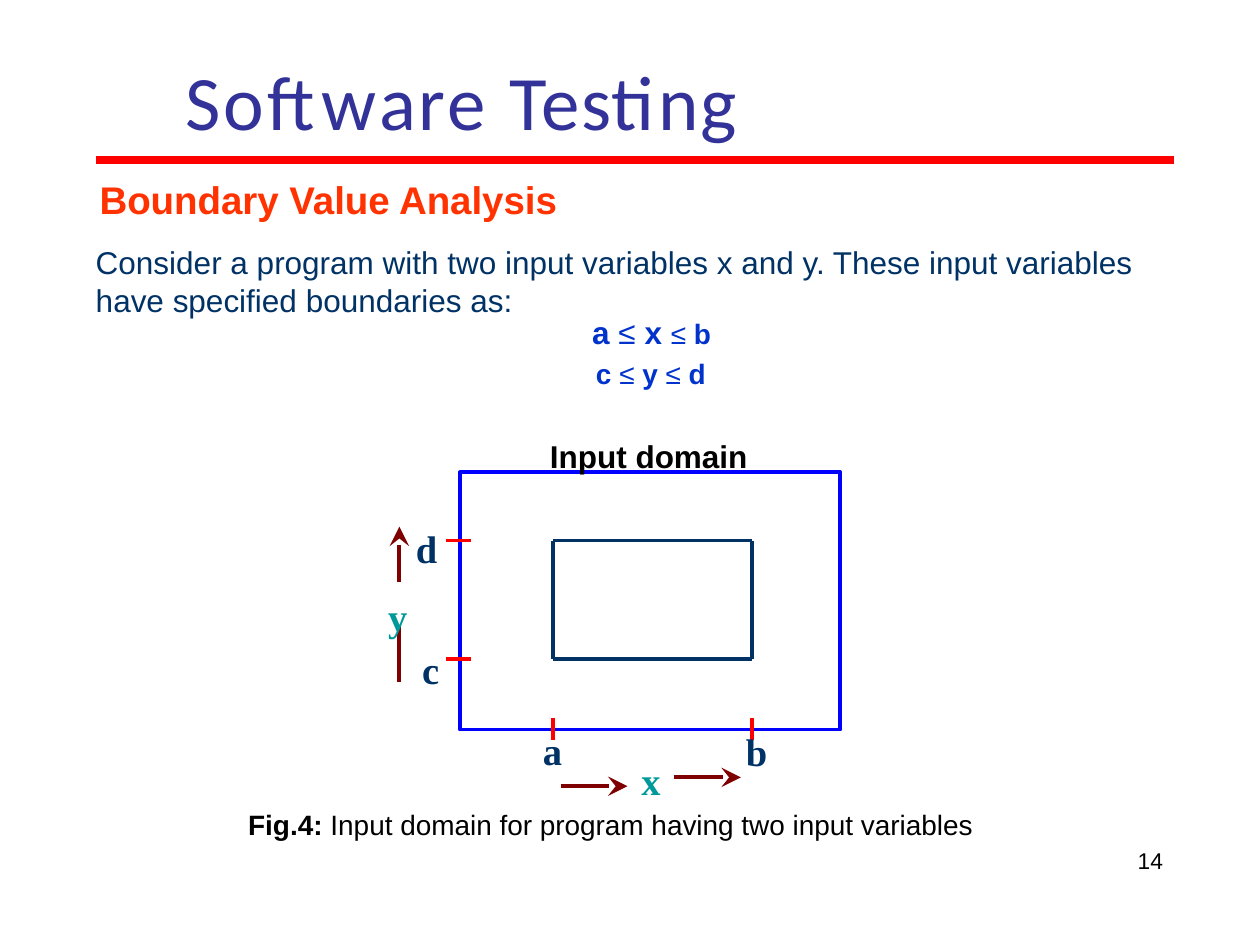
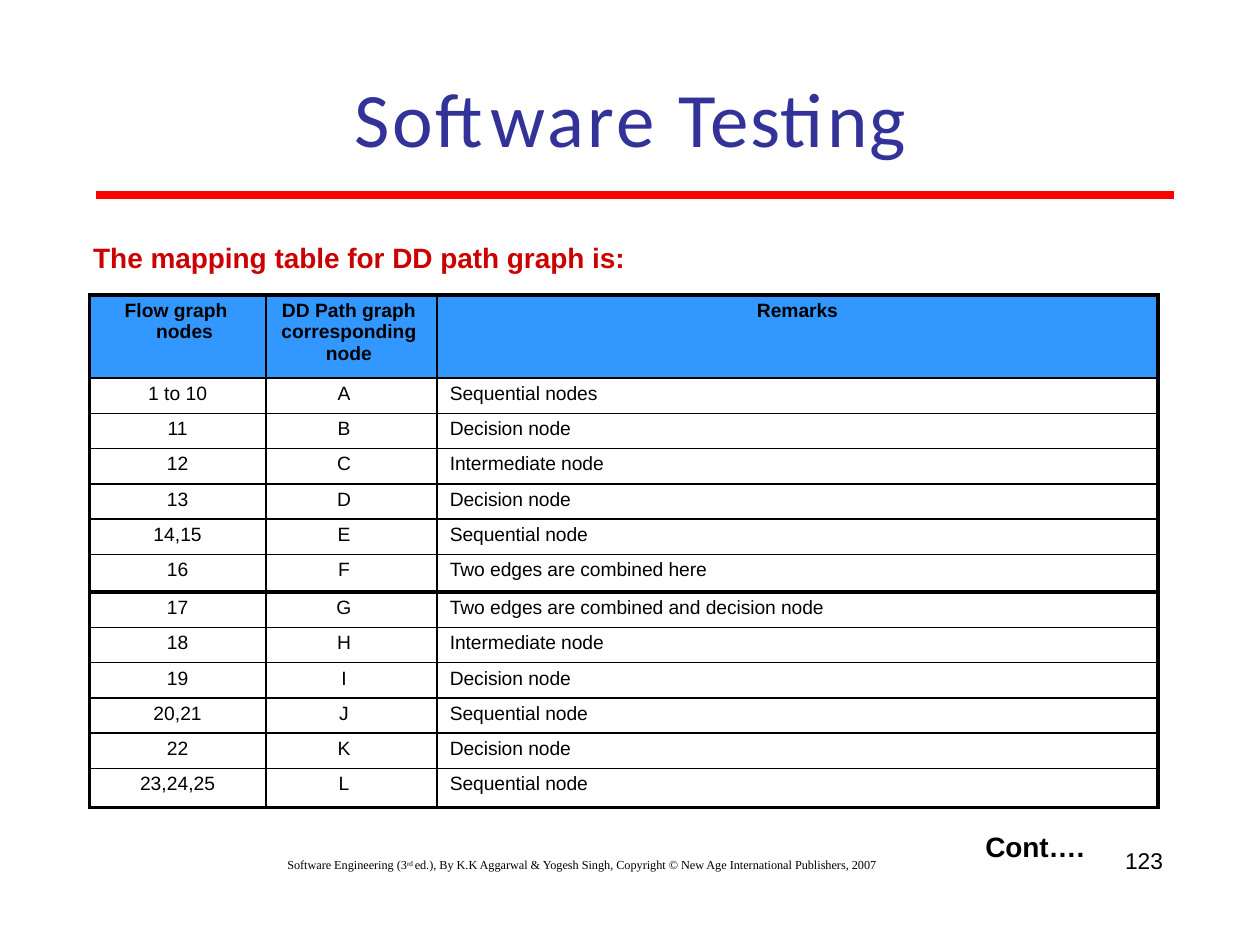
from lxml.etree import SubElement
from pptx import Presentation
from pptx.dml.color import RGBColor
from pptx.enum.shapes import MSO_CONNECTOR as Link, MSO_SHAPE as Shape
from pptx.enum.text import MSO_ANCHOR as Anchor, MSO_AUTO_SIZE as Fit, PP_ALIGN as Align
from pptx.oxml.ns import qn
from pptx.util import Emu, Pt

SCALE = 9144  # EMU per px, 100 px to the inch
BLACK, RED, NAVY, TEAL = "000000", "FF0000", "003265", "009999"
BLUE, INDIGO, MAROON, SKY = "0032CC", "323299", "7F0000", "3298FF"
SANS, SERIF = "Arial", "Times New Roman"
FRAME = dict(margin_left=0, margin_top=0, margin_right=0, margin_bottom=0,
             word_wrap=True, auto_size=Fit.NONE)
HEADS = ["Flow graph nodes", "DD Path graph corresponding node", "Remarks"]
NODES = [
    ("1 to 10", "A", "Sequential nodes"),
    ("11", "B", "Decision node"),
    ("12", "C", "Intermediate node"),
    ("13", "D", "Decision node"),
    ("14,15", "E", "Sequential node"),
    ("16", "F", "Two edges are combined here"),
    ("17", "G", "Two edges are combined and decision node"),
    ("18", "H", "Intermediate node"),
    ("19", "I", "Decision node"),
    ("20,21", "J", "Sequential node"),
    ("22", "K", "Decision node"),
    ("23,24,25", "L", "Sequential node"),
]


def px(*nums):
    return [Emu(n * SCALE) for n in nums]


def rgb(code):
    return RGBColor.from_string(code)


def apply(item, values):
    for key, val in values.items():
        setattr(item, key, val)


def add_run(para, text, size, color=BLACK, name=SANS, bold=False, **extra):
    """Add a run; extra holds raw attributes such as spc or baseline."""
    run = para.add_run()
    run.text = text
    apply(run.font, dict(size=Pt(size), name=name, bold=bold))
    run.font.color.rgb = rgb(color)
    for key, val in extra.items():
        run.font._element.set(key, str(val))


def add_para(frame, runs, left=0, hang=0, **form):
    """Fill the first empty paragraph or add one, without a bullet."""
    para = frame.add_paragraph() if frame.text else frame.paragraphs[0]
    apply(para, dict(dict(space_before=Pt(0), alignment=Align.LEFT), **form))
    props = para._p.get_or_add_pPr()
    props.set("marL", str(left * SCALE))
    props.set("indent", str(hang * SCALE))
    SubElement(props, qn("a:buNone"))
    for text, style in runs:
        add_run(para, text, **style)


def place(shape, box):
    apply(shape, dict(zip(("left", "top", "width", "height"), px(*box))))


def add_text(slide, box, *runs, **form):
    frame = slide.shapes.add_textbox(*px(*box)).text_frame
    apply(frame, FRAME)
    add_para(frame, runs, **form)


def add_line(slide, ends, color, width=2.25, head=False):
    line = slide.shapes.add_connector(Link.STRAIGHT, *px(*ends))
    line.line.color.rgb = rgb(color)
    line.line.width = Pt(width)
    if head:
        SubElement(line.line._get_or_add_ln(), qn("a:tailEnd"),
                   type="stealth", w="lg", len="lg")
    SubElement(line._element.spPr, qn("a:effectLst"))


def add_rect(slide, box, color):
    rect = slide.shapes.add_shape(Shape.RECTANGLE, *px(*box))
    rect.shadow.inherit = False
    rect.fill.background()
    rect.line.color.rgb = rgb(color)
    rect.line.width = Pt(2.25)


def add_frame(slide, box, rule, number):
    """Set what the slides share: title, red rule and slide number."""
    title = slide.shapes.title
    place(title, box)
    frame = title.text_frame
    apply(frame, dict(FRAME, vertical_anchor=Anchor.MIDDLE))
    look = dict(size=44, color=INDIGO, name="Calibri")
    add_para(frame, [("Software ", dict(look, spc=165)),
                     ("Testing", dict(look, spc=85))], alignment=Align.CENTER)
    add_line(slide, (76, rule, 932, rule), RED, 4.5)
    add_text(slide, (873, 672, 50, 22), (str(number), dict(size=13)),
             alignment=Align.RIGHT)


def add_bounds(frame, parts, left, **form):
    """Add an inequality; parts pairs each symbol with its size."""
    runs = [(text, dict(size=size, color=BLUE, bold="≤" not in text))
            for text, size in parts]
    add_para(frame, runs, left, **form)


def fill_body(slide):
    body = slide.placeholders[1]
    place(body, (75, 140, 846, 180))
    frame = body.text_frame
    apply(frame, dict(FRAME, vertical_anchor=Anchor.TOP))
    add_para(frame, [("Boundary Value Analysis",
                      dict(size=22, color="FF3200", bold=True))], 4)
    add_para(frame, [("Consider a program with two input variables x and y. "
                      "These input variables have specified boundaries as:",
                      dict(size=18, color=NAVY))], 1, space_before=Pt(11.9))
    add_bounds(frame, [("a ", 18), ("≤ ", 18), ("x ", 18), ("≤ ", 16), ("b", 16)],
               395, line_spacing=Pt(17.9))
    add_bounds(frame, [(text, 16) for text in ("c ", "≤ ", "y ", "≤ ", "d")],
               398, space_before=Pt(3.8))


def draw_domain(slide):
    left, right, top, low = 439, 597, 429, 523
    add_rect(slide, (365, 375, 302, 204), "0000FF")
    for y in (top, low):
        add_line(slide, (left, y, right, y), NAVY)
        add_line(slide, (354, y, 374, y), RED)
    for x in (left, right):
        add_line(slide, (x, top, x, low), NAVY)
        add_line(slide, (x, 570, x, 587), RED)
    add_line(slide, (317, 541, 317, 496), MAROON)
    for ends in ((317, 462, 317, 418), (445, 624, 498, 624), (535, 617, 588, 617)):
        add_line(slide, ends, MAROON, head=True)
    for text, x, y, color in (("d", 330, 417, NAVY), ("y", 308, 471, TEAL),
                              ("c", 335, 513, NAVY), ("a", 431, 577, NAVY),
                              ("b", 592, 578, NAVY), ("x", 509, 601, TEAL)):
        add_text(slide, (x, y, 20, 36),
                 (text, dict(size=22, color=color, name=SERIF, bold=True)))
    add_text(slide, (415, 347, 200, 30), ("Input domain", dict(size=18, bold=True)),
             alignment=Align.CENTER)
    add_text(slide, (197, 641, 592, 28), ("Fig.4: ", dict(size=16, bold=True)),
             ("Input domain for program having two input variables", dict(size=16)))


def set_edges(cell, row, col):
    """Draw the cell's borders: thick round the table and under node F."""
    thick = dict(L=col == 0, R=col == 2, T=row in (0, 7), B=row in (6, 12))
    props = cell._tc.get_or_add_tcPr()
    for side, heavy in thick.items():
        edge = SubElement(props, qn("a:ln" + side), w=str(Pt(2.25 if heavy else 1)))
        fill = SubElement(edge, qn("a:solidFill"))
        SubElement(fill, qn("a:srgbClr"), val=BLACK)


def add_nodes(slide):
    rows = [HEADS, *NODES]
    shape = slide.shapes.add_table(len(rows), 3, *px(71, 234, 848, 406))
    table = shape.table
    apply(table, dict(first_row=False, horz_banding=False))
    for col, width in zip(table.columns, px(140, 136, 572)):
        col.width = width
    for row, height in zip(table.rows, px(66, *[28] * 5, 30, *[28] * 5, 31)):
        row.height = height
    mid = dict(alignment=Align.CENTER)
    heads = [dict(left=53, hang=-25), mid, mid]
    plain = [mid, mid, dict(left=10)]
    for r, texts in enumerate(rows):
        for c, text in enumerate(texts):
            cell = table.cell(r, c)
            left, right = (11, 15) if (r, c) == (0, 1) else (0, 12 if c == 1 else 0)
            edges = zip(("margin_left", "margin_top", "margin_right", "margin_bottom"),
                        px(left, 4, right, 0))
            apply(cell, dict(edges))
            set_edges(cell, r, c)
            if r == 0:
                cell.fill.solid()
                cell.fill.fore_color.rgb = rgb(SKY)
            else:
                cell.fill.background()
            form = (plain if r else heads)[c]
            look = dict(size=11, bold=r == 0, spc=-5 if c == 2 else 0)
            add_para(cell.text_frame, [(text, look)],
                     **dict(form, space_before=Pt(3.2)))


def add_source(slide):
    look = dict(size=7, name=SERIF)
    add_text(slide, (228, 680, 495, 14),
             ("Software Engineering (3", look),
             ("rd ", dict(look, baseline=22000)),
             ("ed.), By K.K Aggarwal & Yogesh Singh, Copyright © New Age "
              "International Publishers, 2007", look))


def main():
    deck = Presentation()
    deck.slide_width, deck.slide_height = px(1000, 750)

    domain = deck.slides.add_slide(deck.slide_layouts[1])
    add_frame(domain, (78, 42, 576, 75), 127, 14)
    fill_body(domain)
    draw_domain(domain)

    mapping = deck.slides.add_slide(deck.slide_layouts[5])
    add_frame(mapping, (50, 30, 900, 125), 155, 123)
    add_text(mapping, (74, 191, 436, 28),
             ("The mapping table for DD path graph is:",
              dict(size=16, color="CC0000", bold=True)))
    add_nodes(mapping)
    add_text(mapping, (782, 658, 90, 28), ("Cont….", dict(size=16, bold=True)))
    add_source(mapping)

    deck.save("out.pptx")


if __name__ == "__main__":
    main()
